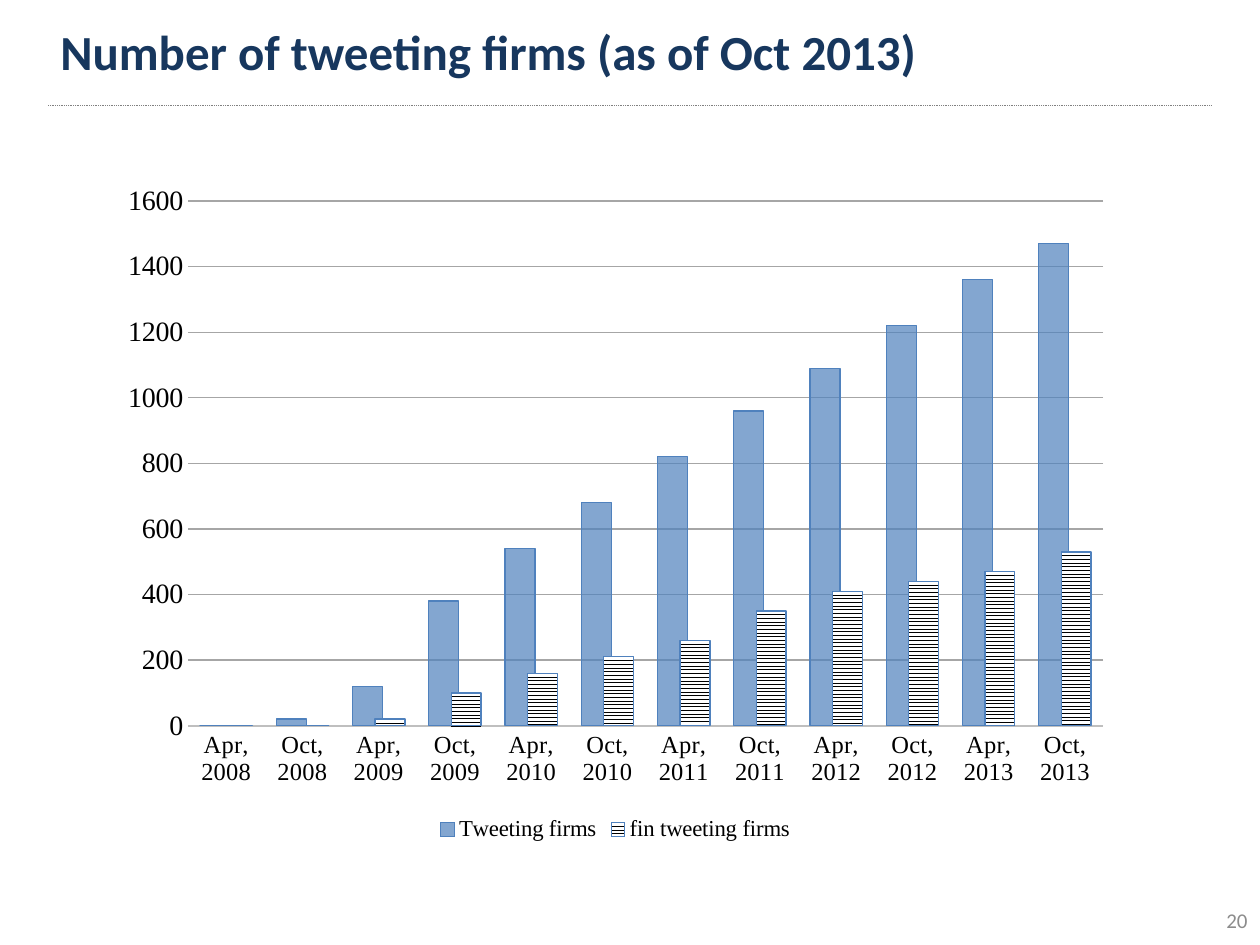
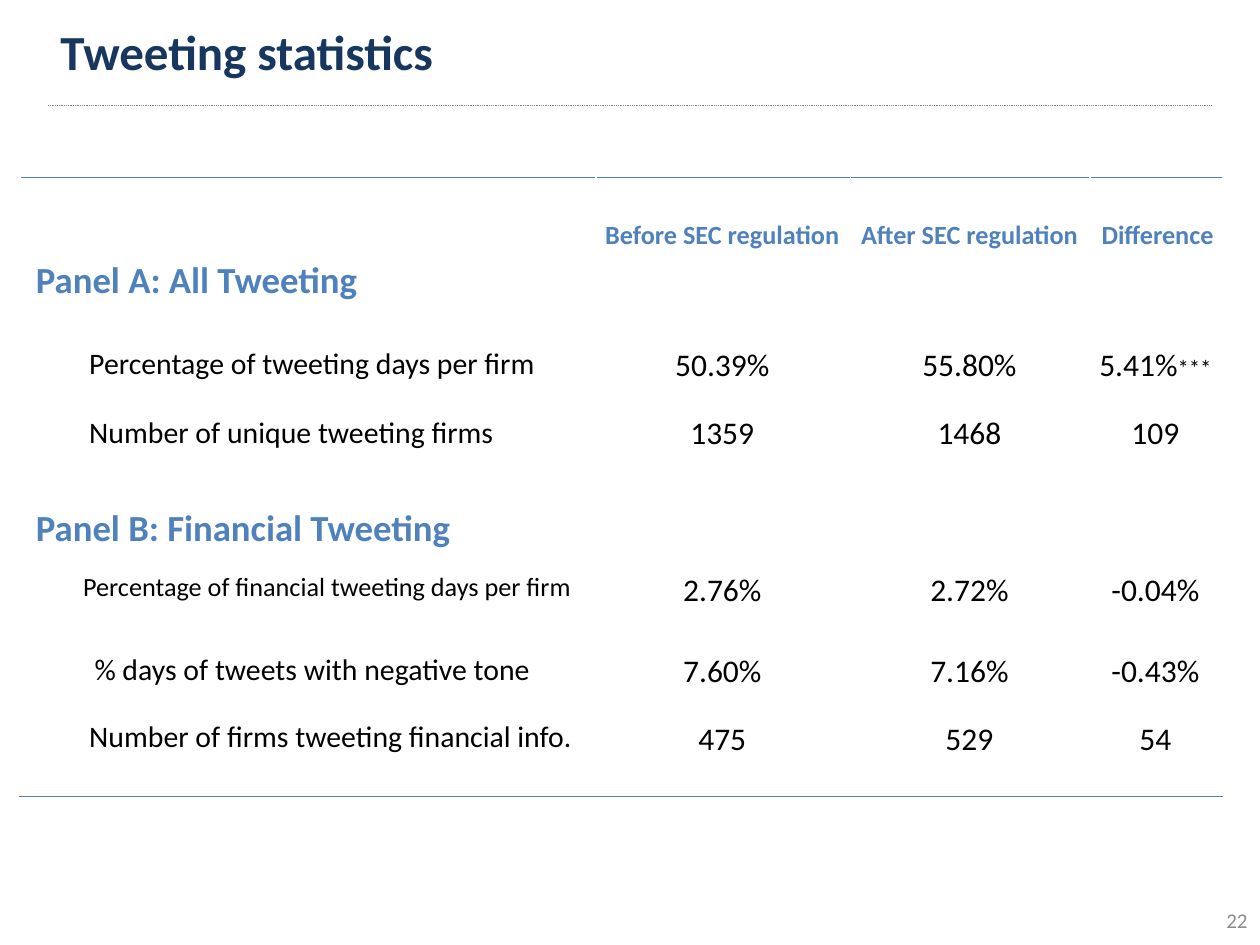
from dataclasses import dataclass

from lxml import etree
from pptx import Presentation
from pptx.chart.data import CategoryChartData
from pptx.dml.color import RGBColor
from pptx.enum.chart import XL_CHART_TYPE, XL_LEGEND_POSITION, XL_TICK_MARK
from pptx.enum.dml import MSO_LINE, MSO_PATTERN
from pptx.enum.shapes import MSO_CONNECTOR
from pptx.enum.text import MSO_ANCHOR, PP_ALIGN
from pptx.oxml import parse_xml
from pptx.oxml.ns import nsdecls, qn
from pptx.util import Pt

COLORS = {
    "title": "17375E",
    "accent": "4F81BD",
    "text": "000000",
    "paper": "FFFFFF",
    "rule": "808080",
    "number": "8C8C8C",
    "axis": "BFBFBF",
    "grid": "A6A6A6",
}
SANS = "Calibri"
SERIF = "Times New Roman"
LEFT, CENTER, RIGHT = PP_ALIGN.LEFT, PP_ALIGN.CENTER, PP_ALIGN.RIGHT
MIDDLE = MSO_ANCHOR.MIDDLE
NO_TICKS = XL_TICK_MARK.NONE
STARS = "***"


@dataclass(frozen=True)
class Label:
    text: str
    size: float = 17
    indent: float = 35.5
    heading: bool = False


@dataclass(frozen=True)
class Row:
    height: float
    labels: tuple = ()
    values: tuple = ()
    header: bool = False


MONTHS = [f"{month}, {year}" for year in range(2008, 2014) for month in ("Apr", "Oct")]
FIRM_COUNTS = {
    "Tweeting firms": (0, 20, 120, 380, 540, 680, 820, 960, 1090, 1220, 1360, 1470),
    "fin tweeting firms": (0, 0, 20, 100, 160, 210, 260, 350, 410, 440, 470, 530),
}
COLUMN_WIDTHS = (329, 145.5, 137, 75.5)
PARAGRAPH_GAP = 17
STATISTICS = (
    Row(24),
    Row(22, values=(("Before SEC regulation",), ("After SEC regulation",), ("Difference",)),
        header=True),
    Row(50.5, (Label("Panel A: All Tweeting", 21, 5, True),)),
    Row(39, (Label("Percentage of tweeting days per firm"),),
        (("50.39%",), ("55.80%",), ("5.41%" + STARS,))),
    Row(52.5, (Label("Number of unique tweeting firms"),),
        (("1359",), ("1468",), ("109",))),
    Row(37, (Label("Panel B: Financial Tweeting", 21, 5, True),)),
    Row(46.5, (Label("Percentage of financial tweeting days per firm", 15, 32),),
        (("2.76%",), ("2.72%",), ("-0.04%",))),
    Row(60, (Label("% days of tweets with negative tone", indent=38.5),
             Label("Number of firms tweeting financial info.")),
        (("7.60%", "475"), ("7.16%", "529"), ("-0.43%", "54"))),
    Row(22),
)


def color(name: str) -> RGBColor:
    return RGBColor.from_string(COLORS[name])


def style_font(font, size: float, name: str, tint: str = "text", bold: bool = False) -> None:
    font.size = Pt(size)
    font.name = name
    font.bold = bold
    font.color.rgb = color(tint)


def add_text(paragraph, text: str, *, size: float, tint: str = "text",
             bold: bool = False, align=LEFT) -> None:
    paragraph.alignment = align
    run = paragraph.add_run()
    run.text = text
    style_font(run.font, size, SANS, tint, bold)


def add_text_box(slide, text: str, left: float, top: float, width: float,
                 height: float, **text_format) -> None:
    shape = slide.shapes.add_textbox(Pt(left), Pt(top), Pt(width), Pt(height))
    frame = shape.text_frame
    frame.word_wrap = True
    frame.vertical_anchor = MIDDLE
    add_text(frame.paragraphs[0], text, **text_format)


def add_base_slide(presentation, title: str, number: str):
    slide = presentation.slides.add_slide(presentation.slide_layouts[6])
    rule = slide.shapes.add_connector(
        MSO_CONNECTOR.STRAIGHT, Pt(27.5), Pt(60.5), Pt(692.5), Pt(60.5))
    rule.line.color.rgb = color("rule")
    rule.line.width = Pt(0.5)
    rule.line.dash_style = MSO_LINE.ROUND_DOT
    etree.SubElement(rule.element.spPr, qn("a:effectLst"))
    add_text_box(slide, number, 679, 511, 41, 29, size=12, tint="number", align=RIGHT)
    add_text_box(slide, title, 27.5, 3.5, 590, 51, size=28, tint="title", bold=True)
    return slide


def set_plot_layout(chart, x: float, y: float, width: float, height: float) -> None:
    plot_area = chart.element.chart.plotArea
    for layout in plot_area.findall(qn("c:layout")):
        plot_area.remove(layout)
    sizes = "".join(f'<c:{tag} val="{value}"/>' for tag, value in
                    (("x", x), ("y", y), ("w", width), ("h", height)))
    plot_area.insert(0, parse_xml(
        f'<c:layout {nsdecls("c")}><c:manualLayout><c:layoutTarget val="inner"/>'
        f'<c:xMode val="edge"/><c:yMode val="edge"/>{sizes}</c:manualLayout></c:layout>'))


def add_firm_chart(slide) -> None:
    data = CategoryChartData()
    data.categories = MONTHS
    for name, counts in FIRM_COUNTS.items():
        data.add_series(name, counts)
    chart = slide.shapes.add_chart(
        XL_CHART_TYPE.COLUMN_CLUSTERED, Pt(61), Pt(99.5), Pt(581), Pt(384.5), data).chart
    style_font(chart.font, 10, SANS)
    chart.has_title = False
    chart.has_legend = True
    chart.legend.position = XL_LEGEND_POSITION.BOTTOM
    chart.legend.include_in_layout = False
    style_font(chart.legend.font, 13, SERIF)
    set_plot_layout(chart, 0.08, 0.04, 0.9, 0.78)

    for axis, size in ((chart.category_axis, 14), (chart.value_axis, 16)):
        axis.major_tick_mark = axis.minor_tick_mark = NO_TICKS
        style_font(axis.tick_labels.font, size, SERIF)
    month_line = chart.category_axis.format.line
    month_line.color.rgb = color("axis")
    month_line.width = Pt(1.25)
    count_axis = chart.value_axis
    count_axis.minimum_scale, count_axis.maximum_scale = 0, 1600
    count_axis.major_unit = 200
    count_axis.format.line.fill.background()
    grid_line = count_axis.major_gridlines.format.line
    grid_line.color.rgb = color("grid")
    grid_line.width = Pt(0.75)

    plot = chart.plots[0]
    plot.gap_width, plot.overlap = 80, 25
    plot.vary_by_categories = False
    all_firms, financial_firms = plot.series
    for series in (all_firms, financial_firms):
        series.invert_if_negative = False
        series.format.line.color.rgb = color("accent")
        series.format.line.width = Pt(0.75)
    all_firms.format.fill.solid()
    all_firms.format.fill.fore_color.rgb = color("accent")
    solid = all_firms.format.fill.fore_color
    solid.rgb = color("accent")
    fill_color = all_firms.format.element.spPr.find(qn("a:solidFill")) if hasattr(
        all_firms.format, "element") else all_firms._element.spPr.find(qn("a:solidFill"))
    etree.SubElement(fill_color[0], qn("a:alpha"), val="70000")
    hatch = financial_firms.format.fill
    hatch.patterned()
    hatch.pattern = MSO_PATTERN.ZIG_ZAG
    hatch.fore_color.rgb = color("text")
    hatch.back_color.rgb = color("paper")


def set_border(cell, side: str) -> None:
    cell._tc.get_or_add_tcPr().insert(0, parse_xml(
        f'<a:{side} {nsdecls("a")} w="{Pt(1)}"><a:solidFill>'
        f'<a:srgbClr val="{COLORS["accent"]}"/></a:solidFill></a:{side}>'))


def cell_paragraph(cell, index: int):
    if index == 0:
        return cell.text_frame.paragraphs[0]
    paragraph = cell.text_frame.add_paragraph()
    paragraph.space_before = Pt(PARAGRAPH_GAP)
    return paragraph


def fill_label(cell, labels: tuple) -> None:
    for index, label in enumerate(labels):
        paragraph = cell_paragraph(cell, index)
        add_text(paragraph, label.text, size=label.size, bold=label.heading,
                 tint="accent" if label.heading else "text")
        properties = paragraph._p.get_or_add_pPr()
        properties.set("marL", str(Pt(label.indent)))
        properties.set("indent", "0")


def fill_value(cell, values: tuple, header: bool, align) -> None:
    for index, value in enumerate(values):
        paragraph = cell_paragraph(cell, index)
        figure, stars, _ = value.partition(STARS)
        add_text(paragraph, figure, size=15 if header else 18, bold=header,
                 tint="accent" if header else "text", align=align)
        if stars:
            add_text(paragraph, stars, size=13, align=align)


def add_statistics_table(slide) -> None:
    table = slide.shapes.add_table(
        len(STATISTICS), len(COLUMN_WIDTHS), Pt(11.5), Pt(101.5),
        Pt(sum(COLUMN_WIDTHS)), Pt(sum(row.height for row in STATISTICS))).table
    table.first_row = table.horz_banding = False
    for column, width in zip(table.columns, COLUMN_WIDTHS):
        column.width = Pt(width)
    for table_row, row in zip(table.rows, STATISTICS):
        table_row.height = Pt(row.height)
        label_cell, *value_cells = table_row.cells
        for cell in table_row.cells:
            cell.margin_left, cell.margin_right = Pt(4), Pt(5)
            cell.margin_top = cell.margin_bottom = 0
            cell.fill.background()
            if row is STATISTICS[0]:
                set_border(cell, "lnT")
            if row is STATISTICS[-1]:
                set_border(cell, "lnB")
        fill_label(label_cell, row.labels)
        for cell, values in zip(value_cells, row.values):
            align = RIGHT if values == ("Difference",) else CENTER
            fill_value(cell, values, row.header, align)


def main() -> None:
    presentation = Presentation()
    presentation.slide_width, presentation.slide_height = Pt(720), Pt(540)
    add_firm_chart(add_base_slide(
        presentation, "Number of tweeting firms (as of Oct 2013)", "20"))
    add_statistics_table(add_base_slide(presentation, "Tweeting statistics", "22"))
    presentation.save("out.pptx")


if __name__ == "__main__":
    main()
